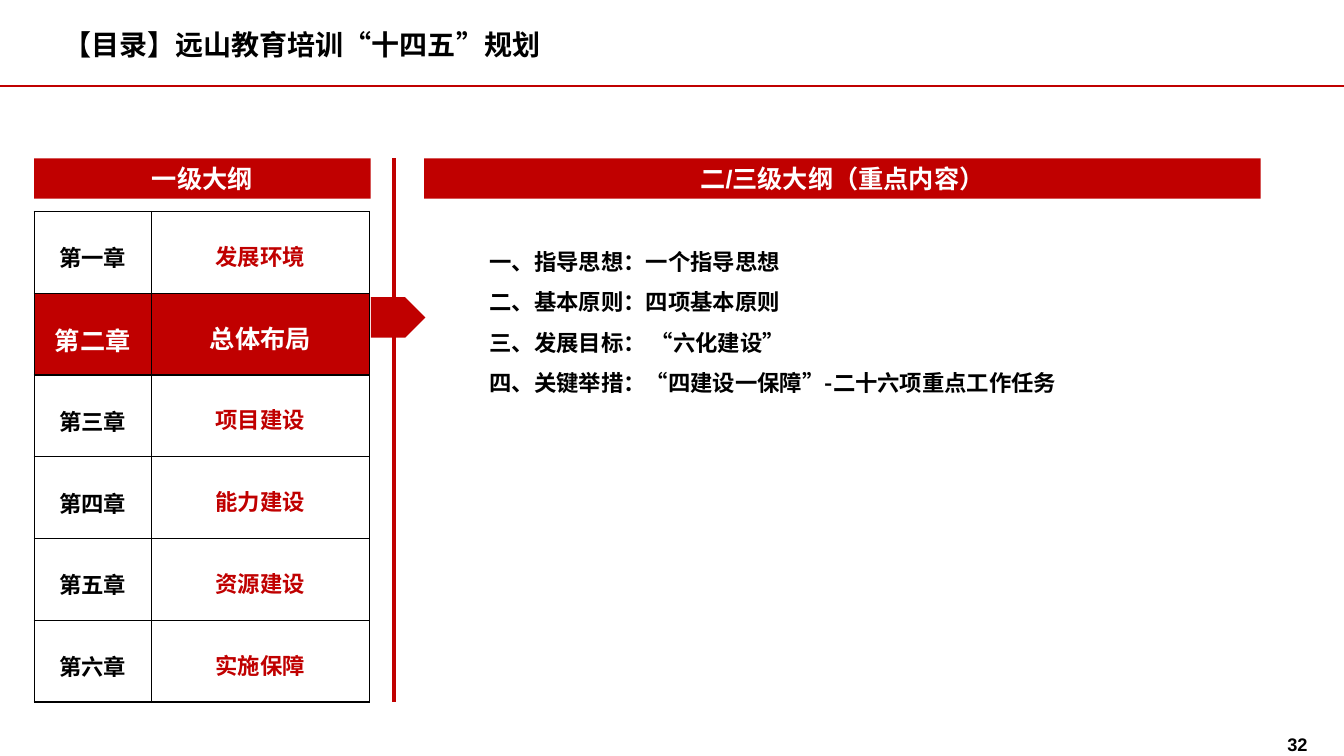
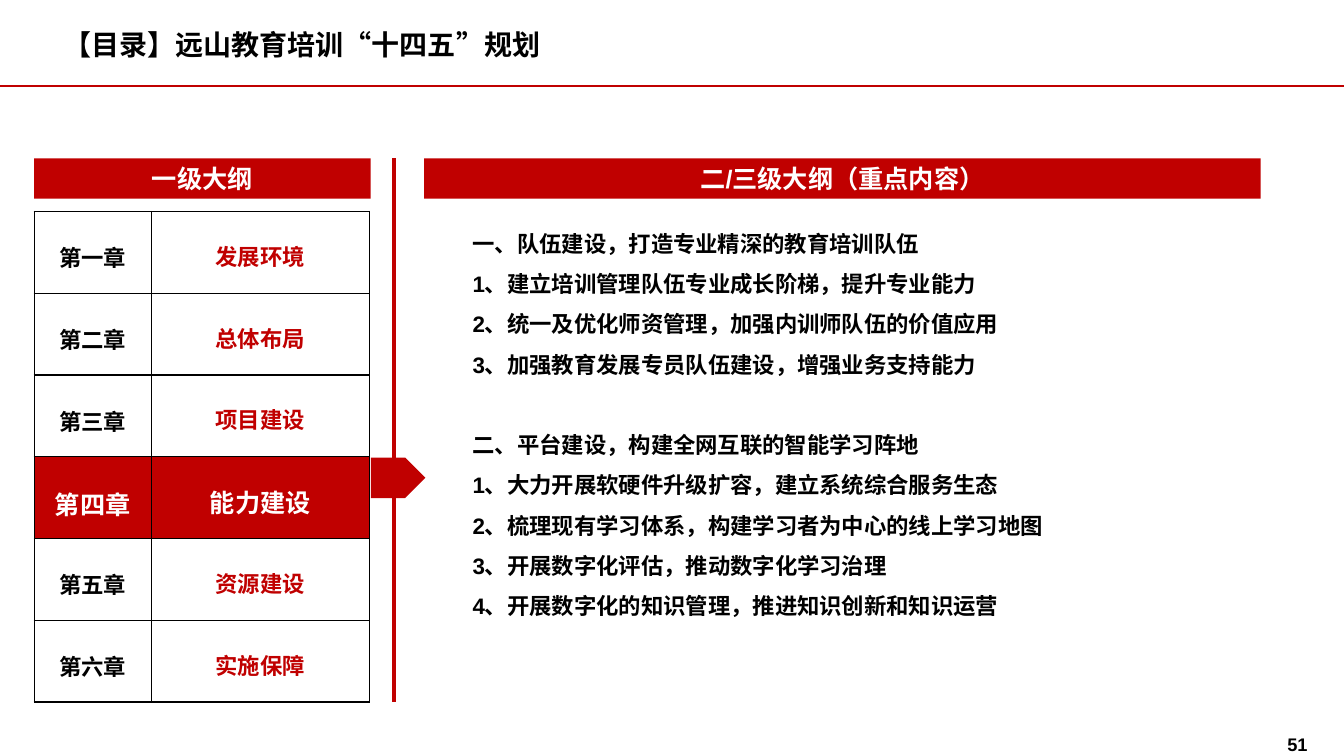
from dataclasses import dataclass

from lxml import etree
from pptx import Presentation
from pptx import util as u
from pptx.dml.color import RGBColor
from pptx.enum import lang, shapes, text
from pptx.oxml import ns


@dataclass(frozen=True)
class Theme:
    red: RGBColor = RGBColor(0xC0, 0x00, 0x00)
    black: RGBColor = RGBColor(0x00, 0x00, 0x00)
    white: RGBColor = RGBColor(0xFF, 0xFF, 0xFF)
    latin: str = "Arial"
    chinese: str = "Noto Sans CJK SC"
    title: int = 20
    heading: int = 18
    body: int = 16
    number: int = 13


theme = Theme()

# Content
TITLE = "【目录】远山教育培训“十四五”规划"
CHAPTERS = ["发展环境", "总体布局", "项目建设", "能力建设", "资源建设", "实施保障"]
NUMERALS = "一二三四五六"
PAGES = [
    {
        "number": "32",
        "active": 1,
        "pointer_top": 7.49,
        "box": (12.09, 5.79, 16.46, 4.37),
        "font": theme.chinese,
        "sections": [[
            "一、指导思想：一个指导思想",
            "二、基本原则：四项基本原则",
            "三、发展目标： “六化建设”",
            "四、关键举措：“四建设一保障”-二十六项重点工作任务",
        ]],
    },
    {
        "number": "51",
        "active": 3,
        "pointer_top": 11.53,
        "box": (11.66, 5.33, 17.88, 10.39),
        "font": theme.latin,
        "sections": [
            [
                "一、队伍建设，打造专业精深的教育培训队伍",
                "1、建立培训管理队伍专业成长阶梯，提升专业能力",
                "2、统一及优化师资管理，加强内训师队伍的价值应用",
                "3、加强教育发展专员队伍建设，增强业务支持能力",
            ],
            [
                "二、平台建设，构建全网互联的智能学习阵地",
                "1、大力开展软硬件升级扩容，建立系统综合服务生态",
                "2、梳理现有学习体系，构建学习者为中心的线上学习地图",
                "3、开展数字化评估，推动数字化学习治理",
                "4、开展数字化的知识管理，推进知识创新和知识运营",
            ],
        ],
    },
]

# Layout in centimetres
BAR_TOP, BAR_HEIGHT = 3.99, 1.02
TABLE_LEFT, TABLE_TOP = 0.86, 5.33
COLUMN_WIDTHS, ROW_HEIGHT = (2.95, 5.5), 2.06
RULES = [((0, 2.16), (33.87, 2.16), 1.5), ((9.93, 3.99), (9.93, 17.7), 2.25)]
BARS = [(0.86, 8.48, "一级大纲"), (10.69, 21.08, "二/三级大纲（重点内容）")]


def add_run(paragraph, content, size, color, font=theme.latin):
    run = paragraph.add_run()
    run.text = content
    run.font.size = u.Pt(size)
    run.font.bold = True
    run.font.color.rgb = color
    run.font.name = font
    run.font.language_id = lang.MSO_LANGUAGE_ID.SIMPLIFIED_CHINESE
    east_asian = etree.SubElement(run.font._element, ns.qn("a:ea"))
    east_asian.set("typeface", theme.chinese)


def add_red_shape(slide, kind, *box):
    shape = slide.shapes.add_shape(kind, *map(u.Cm, box))
    shape.shadow.inherit = False
    shape.fill.solid()
    shape.fill.fore_color.rgb = theme.red
    shape.line.fill.background()
    return shape


presentation = Presentation()
presentation.slide_width, presentation.slide_height = u.Cm(33.87), u.Cm(19.05)

for page in PAGES:
    slide = presentation.slides.add_slide(presentation.slide_layouts[6])

    # Title rule and column divider
    for start, end, width in RULES:
        rule = slide.shapes.add_connector(
            shapes.MSO_CONNECTOR.STRAIGHT, *map(u.Cm, start + end))
        rule.line.color.rgb = theme.red
        rule.line.width = u.Pt(width)
        etree.SubElement(rule._element.spPr, ns.qn("a:effectLst"))

    # Column headings
    for left, width, heading in BARS:
        bar = add_red_shape(slide, shapes.MSO_SHAPE.RECTANGLE,
                            left, BAR_TOP, width, BAR_HEIGHT)
        bar.text_frame.vertical_anchor = text.MSO_ANCHOR.MIDDLE
        paragraph = bar.text_frame.paragraphs[0]
        paragraph.alignment = text.PP_ALIGN.CENTER
        add_run(paragraph, heading, theme.heading, theme.white)

    # Chapter table
    table = slide.shapes.add_table(
        len(CHAPTERS), 2, u.Cm(TABLE_LEFT), u.Cm(TABLE_TOP),
        u.Cm(sum(COLUMN_WIDTHS)), u.Cm(ROW_HEIGHT * len(CHAPTERS))).table
    table.first_row = table.horz_banding = False
    for column, width in zip(table.columns, COLUMN_WIDTHS):
        column.width = u.Cm(width)
    for row, (numeral, chapter) in enumerate(zip(NUMERALS, CHAPTERS)):
        table.rows[row].height = u.Cm(ROW_HEIGHT)
        active = row == page["active"]
        labels = [(f"第{numeral}章", theme.black, 1.3), (chapter, theme.red, 1.2)]
        for column, (label, color, spacing) in enumerate(labels):
            cell = table.cell(row, column)
            cell.vertical_anchor = text.MSO_ANCHOR.MIDDLE
            cell.margin_left = cell.margin_right = u.Cm(0.13)
            cell.margin_top = cell.margin_bottom = 0
            if active:
                cell.fill.solid()
                cell.fill.fore_color.rgb = theme.red
            else:
                cell.fill.background()
            paragraph = cell.text_frame.paragraphs[0]
            paragraph.alignment = text.PP_ALIGN.CENTER
            paragraph.line_spacing = spacing
            add_run(paragraph, label,
                    theme.heading if active else theme.body,
                    theme.white if active else color)
            # Borders come before the fill in the cell properties
            properties = cell._tc.get_or_add_tcPr()
            for position, side in enumerate(("lnL", "lnR", "lnT", "lnB")):
                border = etree.Element(ns.qn(f"a:{side}"), w=str(u.Pt(1)))
                fill = etree.SubElement(border, ns.qn("a:solidFill"))
                etree.SubElement(fill, ns.qn("a:srgbClr"), val=str(theme.black))
                properties.insert(position, border)

    # Pointer from the active chapter to its outline
    add_red_shape(slide, shapes.MSO_SHAPE.PENTAGON,
                  9.35, page["pointer_top"], 1.37, BAR_HEIGHT)

    # Outline, title and page number
    left, right = text.PP_ALIGN.LEFT, text.PP_ALIGN.RIGHT
    text_boxes = [
        (page["box"], page["sections"], theme.body, page["font"], left, 1.5),
        ((1.35, 0.58, 25.27, 1.12), [[TITLE]], theme.title, theme.latin, left, 1),
        ((26.14, 18.36, 7.06, 0.48), [[page["number"]]], theme.number,
         theme.latin, right, 1),
    ]
    for box, sections, size, font, alignment, spacing in text_boxes:
        frame = slide.shapes.add_textbox(*map(u.Cm, box)).text_frame
        frame.word_wrap = True
        paragraph = None
        for section in sections:
            for index, line in enumerate(section):
                first = paragraph is None
                paragraph = frame.paragraphs[0] if first else frame.add_paragraph()
                paragraph.alignment = alignment
                paragraph.line_spacing = spacing
                if index == 0 and not first:
                    paragraph.space_before = u.Pt(28.8)
                add_run(paragraph, line, size, theme.black, font)

presentation.save("out.pptx")
